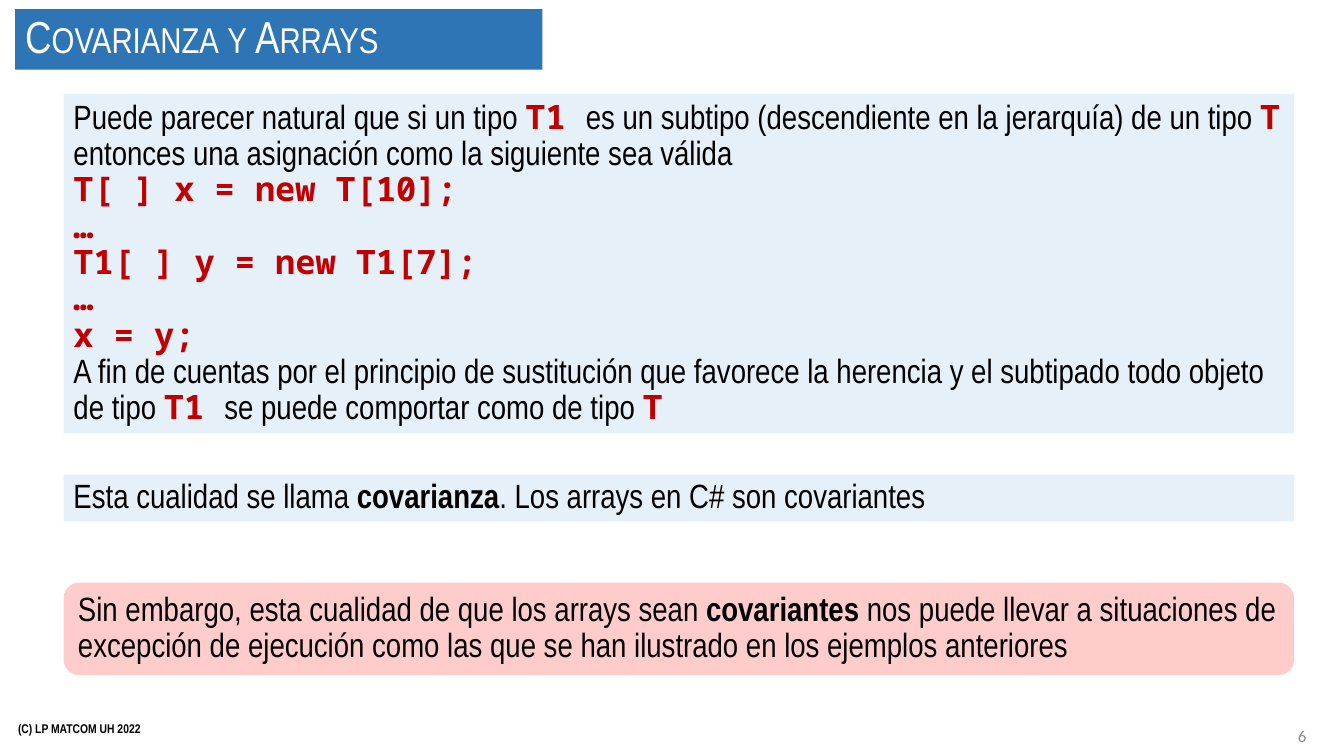
import pptx
import pptx.util
import pptx.dml.color
import pptx.enum.shapes
import pptx.enum.text
import pptx.oxml
import pptx.oxml.ns

Pt = pptx.util.Pt
SHAPE = pptx.enum.shapes.MSO_SHAPE
ALIGN = pptx.enum.text.PP_ALIGN

COLORS = {"title": "2E75B6", "blue": "0070C0", "red": "FF0000", "code": "C00000",
          "text": "000000", "white": "FFFFFF", "number": "8C8C8C"}
SANS, MONO = "Arial Narrow", "Noto Sans Mono"
STYLES = {
    "plain": {},
    "bold": {"bold": True},
    "code": {"bold": True, "font": MONO, "color": "code"},
}

TITLE = "Covarianza y Arrays"
ASSIGNMENT = [
    [("Puede parecer natural que si un tipo ", "plain"), ("T1 ", "code"),
     ("es un subtipo (descendiente en la jerarquía) de un tipo ", "plain"), ("T", "code"),
     (" entonces una asignación como la siguiente sea válida", "plain")],
    [("T[ ] x = new T[10];", "code")],
    [("…", "code")],
    [("T1[ ] y = new T1[7];", "code")],
    [("…", "code")],
    [("x = y;", "code")],
    [("A fin de cuentas por el principio de sustitución que favorece la herencia y el "
      "subtipado todo objeto de tipo ", "plain"), ("T1 ", "code"),
     ("se puede comportar como de tipo ", "plain"), ("T", "code")],
]
COVARIANCE = [[("Esta cualidad se llama ", "plain"), ("covarianza", "bold"),
               (". Los arrays en C# son covariantes", "plain")]]
WARNING = [[("Sin embargo, esta cualidad de que los arrays sean ", "plain"),
            ("covariantes ", "bold"),
            ("nos puede llevar a situaciones de excepción de ejecución como las que se han "
             "ilustrado en los ejemplos anteriores", "plain")]]
PANEL_LEFT, PANEL_WIDTH = 45.4, 879
PANELS = [
    (SHAPE.RECTANGLE, 67, 242.6, "blue", 10, ASSIGNMENT),
    (SHAPE.RECTANGLE, 339, 33.4, "blue", 10, COVARIANCE),
    (SHAPE.ROUNDED_RECTANGLE, 416.2, 66, "red", 20, WARNING),
]
FOOTER = "(C) LP MATCOM UH 2022"
NUMBER = "6"


def rgb(name):
    return pptx.dml.color.RGBColor.from_string(COLORS[name])


def add_text(p, text, size=24, font=SANS, color="text", bold=False, small_caps=False):
    r = p.add_run()
    r.text = text
    r.font.size = Pt(size)
    r.font.name = font
    r.font.bold = bold
    r.font.color.rgb = rgb(color)
    if small_caps:
        r.font._element.set("cap", "small")


def set_frame(s, align=ALIGN.LEFT, spacing=1):
    tf = s.text_frame
    tf.word_wrap = True
    tf.auto_size = pptx.enum.text.MSO_AUTO_SIZE.NONE
    tf.vertical_anchor = pptx.enum.text.MSO_ANCHOR.MIDDLE
    p = tf.paragraphs[0]
    p.alignment = align
    p.line_spacing = spacing
    return p


def add_panel(sp, shape, top, height, color, opacity, paragraphs):
    s = sp.add_shape(shape, Pt(PANEL_LEFT), Pt(top), Pt(PANEL_WIDTH), Pt(height))
    s.shadow.inherit = False
    s.line.fill.background()
    s.fill.solid()
    s.fill.fore_color.rgb = rgb(color)
    clr = s._element.spPr.find(".//" + pptx.oxml.ns.qn("a:srgbClr"))
    alpha = pptx.oxml.parse_xml(
        f'<a:alpha {pptx.oxml.ns.nsdecls("a")} val="{opacity * 1000}"/>')
    clr.append(alpha)
    p = set_frame(s, spacing=0.9)
    for i, runs in enumerate(paragraphs):
        if i:
            p = s.text_frame.add_paragraph()
            p.alignment = ALIGN.LEFT
            p.line_spacing = 0.9
        for text, style in runs:
            add_text(p, text, **STYLES[style])


def main():
    prs = pptx.Presentation()
    prs.slide_width, prs.slide_height = Pt(960), Pt(540)
    slide = prs.slides.add_slide(prs.slide_layouts[5])
    sp = slide.shapes

    title = sp.title
    title.left, title.top, title.width, title.height = Pt(10.8), Pt(6.5), Pt(376.6), Pt(43.2)
    title.fill.solid()
    title.fill.fore_color.rgb = rgb("title")
    add_text(set_frame(title, spacing=0.9), TITLE, size=32, color="white", small_caps=True)

    for panel in PANELS:
        add_panel(sp, *panel)

    footer = sp.add_textbox(Pt(5.8), Pt(506.2), Pt(324), Pt(28.8))
    add_text(set_frame(footer), FOOTER, size=9, bold=True)
    number = sp.add_textbox(Pt(724.3), Pt(511.2), Pt(216), Pt(28.8))
    add_text(set_frame(number, align=ALIGN.RIGHT), NUMBER, size=12, font="Calibri",
             color="number")

    prs.save("out.pptx")


if __name__ == "__main__":
    main()
